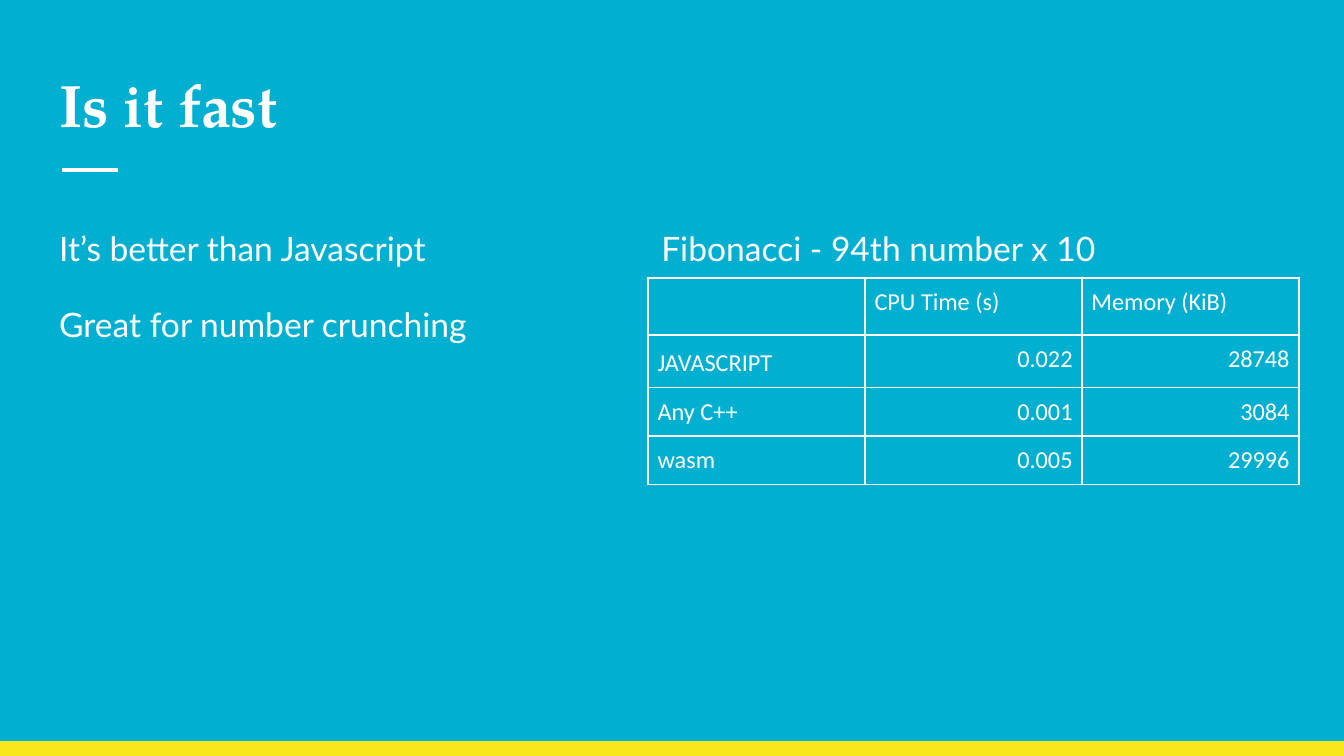
"""Builds a slide that compares run time and memory of three languages."""
from lxml.etree import SubElement
from pptx import Presentation
from pptx.dml.color import RGBColor
from pptx.enum.shapes import MSO_CONNECTOR, MSO_SHAPE
from pptx.enum.text import PP_ALIGN
from pptx.oxml import parse_xml
from pptx.oxml.ns import nsdecls, qn
from pptx.util import Cm, Pt

WHITE, BLUE, YELLOW = "FFFFFF", "01AFD1", "F8E71C"
WIDE, HIGH, BAR = 25.4, 14.29, 0.28
LEFT, RIGHT, TOP, COL = 0.87, 12.25, 3.94, 10.82

TITLE = ["Is it fast"]
POINTS = ["It’s better than Javascript", "Great for number crunching"]
LABEL = ["Fibonacci - 94th number x 10"]
ROWS = [
    ("", "CPU Time (s)", "Memory (KiB)"),
    ("JAVASCRIPT", "0.022", "28748"),
    ("Any C++", "0.001", "3084"),
    ("wasm", "0.005", "29996"),
]
TALL = [1.07, 0.98, 0.91, 0.92]
CELL = 4.1


def color(code):
    return RGBColor.from_string(code)


def write(frame, lines, size=18, font="Lato", bold=False, pad=0.25,
          line=1.0, gap=0, align=PP_ALIGN.LEFT):
    frame.word_wrap = True
    frame.margin_left = frame.margin_right = Cm(pad)
    frame.margin_top = frame.margin_bottom = Cm(pad)
    for i, text in enumerate(lines):
        para = frame.add_paragraph() if i else frame.paragraphs[0]
        para.alignment = align
        para.line_spacing = line
        para.space_before = Pt(gap if i else 0)
        run = para.add_run()
        run.text = text
        run.font.size, run.font.name = Pt(size), font
        run.font.bold = bold
        run.font.color.rgb = color(WHITE)


def edge(cell):
    props = cell._tc.get_or_add_tcPr()
    for side in ("a:lnL", "a:lnR", "a:lnT", "a:lnB"):
        rule = SubElement(props, qn(side), w=str(Pt(1)))
        fill = SubElement(rule, qn("a:solidFill"))
        SubElement(fill, qn("a:srgbClr"), val=WHITE)
    cell.fill.background()


deck = Presentation()
deck.slide_width, deck.slide_height = Cm(WIDE), Cm(HIGH)
slide = deck.slides.add_slide(deck.slide_layouts[6])
slide.background.fill.solid()
slide.background.fill.fore_color.rgb = color(BLUE)
shapes = slide.shapes

bar = shapes.add_shape(MSO_SHAPE.RECTANGLE, 0, Cm(HIGH - BAR), Cm(WIDE), Cm(BAR))
bar.shadow.inherit = False
bar.fill.solid()
bar.fill.fore_color.rgb = color(YELLOW)
bar.line.fill.background()

dash = shapes.add_connector(
    MSO_CONNECTOR.STRAIGHT, Cm(1.17), Cm(3.21), Cm(2.23), Cm(3.21))
dash.line.color.rgb = color(WHITE)
dash.line.width = Pt(2.25)
dash._element.spPr.append(parse_xml(f"<a:effectLst {nsdecls('a')}/>"))

TEXTS = [
    (TITLE, (LEFT, 1.04, 23.67, 1.8),
     {"size": 32, "font": "TeX Gyre Pagella", "bold": True}),
    (POINTS, (LEFT, TOP, COL, 8.76), {"line": 1.15, "gap": 16}),
    (LABEL, (RIGHT, TOP, COL, 1.32), {"line": 1.15}),
]
for lines, area, look in TEXTS:
    box = shapes.add_textbox(*map(Cm, area))
    write(box.text_frame, lines, **look)

grid = shapes.add_table(
    len(ROWS), len(ROWS[0]), Cm(RIGHT), Cm(5.26),
    Cm(CELL * len(ROWS[0])), Cm(sum(TALL))).table
grid.first_row = grid.horz_banding = False
for col in grid.columns:
    col.width = Cm(CELL)
for r, row in enumerate(ROWS):
    grid.rows[r].height = Cm(TALL[r])
    for c, text in enumerate(row):
        cell = grid.cell(r, c)
        write(cell.text_frame, [text], size=13, font="Calibri",
              line=1.15 if text == "JAVASCRIPT" else 1.0,
              align=PP_ALIGN.RIGHT if r and c else PP_ALIGN.LEFT)
        cell.margin_left = cell.margin_right = Cm(0.18)
        cell.margin_top = cell.margin_bottom = Cm(0.18 if text else 0.1)
        edge(cell)

deck.save("out.pptx")
